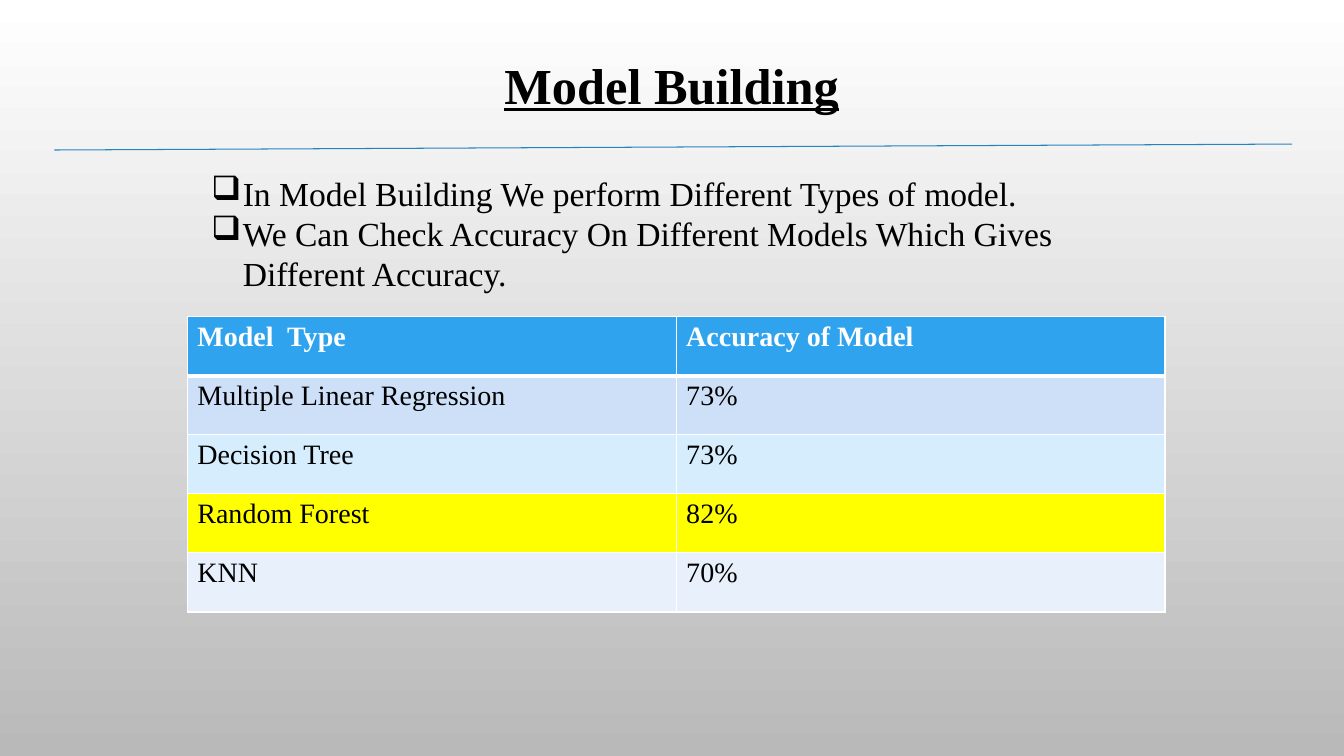
from dataclasses import dataclass

from lxml.etree import SubElement
from pptx import Presentation
from pptx.dml.color import RGBColor as RGB
from pptx.enum.shapes import MSO_CONNECTOR as CONN
from pptx.enum.text import MSO_ANCHOR as ANCHOR, PP_ALIGN as ALIGN
from pptx.oxml import parse_xml
from pptx.oxml.ns import nsdecls, qn
from pptx.util import Cm, Pt


@dataclass(frozen=True)
class Theme:
    font: str = "Times New Roman"
    title: int = 36
    body: int = 24
    cell: int = 20
    ink: str = "000000"
    white: str = "FFFFFF"
    shade: str = "B9B9B9"
    rule: str = "2683BF"
    header: str = "2FA3EE"
    blue: str = "CDE0F8"
    sky: str = "D5EDFC"
    best: str = "FFFF00"
    pale: str = "E8F0FC"


T = Theme()
ROWS = [
    ("Model  Type", "Accuracy of Model", T.header),
    ("Multiple Linear Regression", "73%", T.blue),
    ("Decision Tree", "73%", T.sky),
    ("Random Forest", "82%", T.best),
    ("KNN", "70%", T.pale),
]
POINTS = [
    "In Model Building We perform Different Types of model.",
    "We Can Check Accuracy On Different Models Which Gives Different Accuracy.",
]


def add_run(p, text, size, color=T.ink, bold=False, underline=False):
    r = p.add_run()
    r.text = text
    f = r.font
    f.name, f.size, f.bold, f.underline = T.font, Pt(size), bold, underline
    f.color.rgb = RGB.from_string(color)


def paint_background(s):
    fill = s.background.fill
    fill.gradient()
    fill.gradient_angle = 270
    for stop, color in zip(fill.gradient_stops, (T.white, T.shade)):
        stop.color.rgb = RGB.from_string(color)


def place_title(s, text, x, y, w, h):
    sp = s.shapes.title
    sp.left, sp.top, sp.width, sp.height = Cm(x), Cm(y), Cm(w), Cm(h)
    tf = sp.text_frame
    tf.vertical_anchor = ANCHOR.MIDDLE
    p = tf.paragraphs[0]
    p.alignment = ALIGN.CENTER
    add_run(p, text, T.title, bold=True, underline=True)


def add_rule(s, x1, y1, x2, y2):
    line = s.shapes.add_connector(CONN.STRAIGHT, Cm(x1), Cm(y1), Cm(x2), Cm(y2))
    line.line.color.rgb = RGB.from_string(T.rule)
    line.line.width = Pt(0.75)
    SubElement(line._element.spPr, qn("a:effectLst"))


def add_points(s, points, x, y, w, h):
    tf = s.shapes.add_textbox(Cm(x), Cm(y), Cm(w), Cm(h)).text_frame
    tf.word_wrap = True
    for i, text in enumerate(points):
        p = tf.add_paragraph() if i else tf.paragraphs[0]
        add_run(p, text, T.body)
        # Hanging indent with a box bullet
        pPr = p._p.get_or_add_pPr()
        pPr.set("marL", str(Cm(0.79)))
        pPr.set("indent", str(-Cm(0.79)))
        SubElement(pPr, qn("a:buFont"), typeface="Wingdings")
        SubElement(pPr, qn("a:buChar"), char="q")


def set_borders(cell, widths):
    tcPr = cell._tc.get_or_add_tcPr()
    for i, (side, width) in enumerate(zip("LRTB", widths)):
        tcPr.insert(i, parse_xml(
            f'<a:ln{side} {nsdecls("a")} w="{Pt(width)}"><a:solidFill>'
            f'<a:srgbClr val="{T.white}"/></a:solidFill></a:ln{side}>'))


def add_accuracy_table(s, rows, x, y, w, h):
    table = s.shapes.add_table(len(rows), 2, Cm(x), Cm(y), Cm(w), Cm(h)).table
    for i, (*texts, color) in enumerate(rows):
        head = i == 0
        # The thick line lies between the header and the first model
        widths = (1, 1, 3 if i == 1 else 1, 3 if head else 1)
        for j, text in enumerate(texts):
            cell = table.cell(i, j)
            cell.fill.solid()
            cell.fill.fore_color.rgb = RGB.from_string(color)
            set_borders(cell, widths)
            add_run(cell.text_frame.paragraphs[0], text, T.cell,
                    T.white if head else T.ink, bold=head)


def build_model_slide(prs):
    s = prs.slides.add_slide(prs.slide_layouts[5])  # title only
    paint_background(s)
    add_accuracy_table(s, ROWS, 4.72, 7.98, 24.64, 7.44)
    place_title(s, "Model Building", 9.27, 1.22, 15.32, 1.8)
    add_points(s, POINTS, 5.08, 4.22, 24.28, 3.33)
    add_rule(s, 1.37, 3.78, 32.56, 3.63)


prs = Presentation()
prs.slide_width, prs.slide_height = Cm(33.87), Cm(19.05)
build_model_slide(prs)
prs.save("out.pptx")
